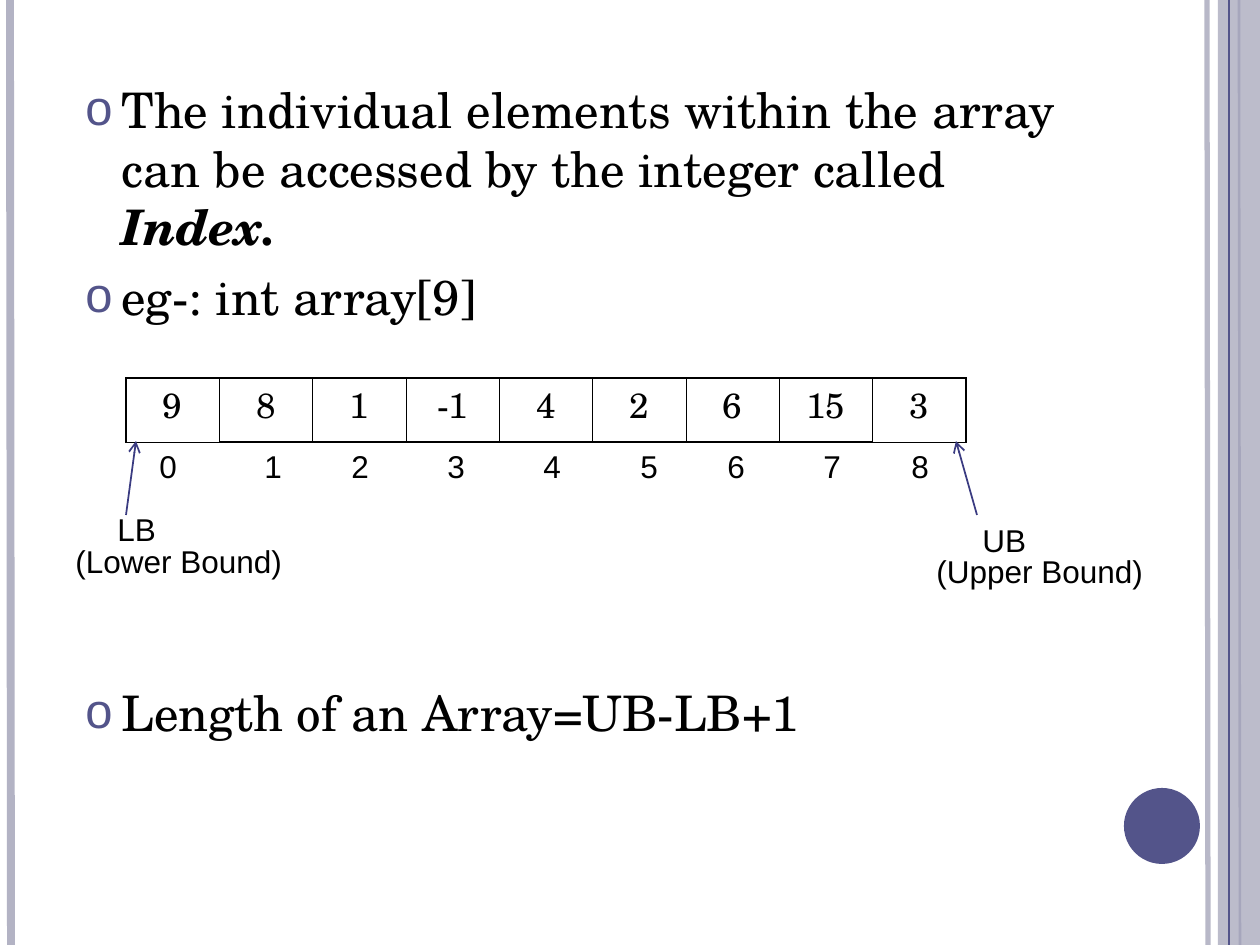
from dataclasses import dataclass

from lxml.etree import SubElement
from pptx import Presentation
from pptx.dml.color import RGBColor
from pptx.enum.shapes import MSO_CONNECTOR as CONN, MSO_SHAPE as SHAPE
from pptx.enum.text import PP_ALIGN as ALIGN
from pptx.oxml.ns import qn
from pptx.util import Pt

PX = 914400 / 126


@dataclass(frozen=True)
class Theme:
    ink: str = "000000"
    accent: str = "53548A"
    band: str = "B3B3C4"
    arrow: str = "3A3B81"
    serif: str = "TeX Gyre Schola"
    sans: str = "Arial"
    body: int = 28
    cell: int = 20
    label: int = 18
    thick: float = 1.08
    thin: float = 0.45


T = Theme()


def px(n):
    return round(n * PX)


def rgb(color):
    return RGBColor.from_string(color)


def add(parent, tag, **attrs):
    return SubElement(parent, qn(tag), {k: str(v) for k, v in attrs.items()})


def set_alpha(fill_parent, percent):
    color = next(fill_parent.iter(qn("a:srgbClr")))
    add(color, "a:alpha", val=percent * 1000)


def set_font(p, name, size):
    p.font.name = name
    p.font.size = Pt(size)
    p.font.color.rgb = rgb(T.ink)


def add_line(s, start, end, color, width, alpha=None, arrow=False):
    line = s.shapes.add_connector(CONN.STRAIGHT, *map(px, start + end))
    line.line.color.rgb = rgb(color)
    line.line.width = Pt(width)
    sp_pr = line._element.spPr
    ln = sp_pr.find(qn("a:ln"))
    if alpha:
        set_alpha(ln, alpha)
    if arrow:
        add(ln, "a:tailEnd", type="arrow")
    add(sp_pr, "a:effectLst")


def add_block(s, kind, box, color, alpha=None):
    sp = s.shapes.add_shape(kind, *map(px, box))
    sp.shadow.inherit = False
    sp.fill.solid()
    sp.fill.fore_color.rgb = rgb(color)
    sp.line.fill.background()
    if alpha:
        set_alpha(sp._element.spPr, alpha)


def add_frame(s):
    add_line(s, (1207, 0), (1208, 945), T.band, 3, alpha=93)
    add_line(s, (10, 0), (11, 945), T.band, 4.5)
    add_line(s, (1239, 0), (1240, 945), T.accent, 1.5)
    add_block(s, SHAPE.RECTANGLE, (1218, 0, 42, 945), T.band, alpha=87)
    add_line(s, (1229, 0), (1229, 945), T.accent, 0.75)
    add_block(s, SHAPE.OVAL, (1124, 788, 76, 76), T.accent)


def add_text(s, box):
    tf = s.shapes.add_textbox(*map(px, box)).text_frame
    tf.word_wrap = True
    return tf


def add_bullet(p):
    pPr = p._p.get_or_add_pPr()
    pPr.set("marL", str(px(36)))
    pPr.set("indent", str(px(-36)))
    add(add(pPr, "a:buClr"), "a:srgbClr", val=T.accent)
    add(pPr, "a:buFont", typeface=T.sans)
    add(pPr, "a:buChar", char="o")


def add_body(s, box, items):
    tf = add_text(s, box)
    for i, (text, emphasis, gap) in enumerate(items):
        p = tf.add_paragraph() if i else tf.paragraphs[0]
        add_bullet(p)
        p.space_before = Pt(gap)
        set_font(p, T.serif, T.body)
        p.add_run().text = text
        if emphasis:
            r = p.add_run()
            r.text = emphasis
            r.font.bold = r.font.italic = True


def set_borders(cell, **widths):
    tcPr = cell._tc.get_or_add_tcPr()
    for side, width in widths.items():
        ln = add(tcPr, f"a:ln{side}", w=Pt(width))
        add(add(ln, "a:solidFill"), "a:srgbClr", val=T.ink)


def add_array(s, box, values):
    last = len(values) - 1
    table = s.shapes.add_table(1, len(values), *map(px, box)).table
    table.first_row = table.horz_banding = False
    for i, value in enumerate(values):
        table.columns[i].width = px(box[2] / len(values))
        cell = table.cell(0, i)
        set_borders(cell, L=T.thin if i else T.thick,
                    R=T.thin if i < last else T.thick,
                    T=T.thick, B=T.thick if 0 < i < last else T.thin)
        cell.fill.background()
        p = cell.text_frame.paragraphs[0]
        p.text = value
        p.alignment = ALIGN.CENTER
        p.line_spacing = 0.82
        set_font(p, T.serif, T.cell)


def add_label(s, box, text, indent=0, tabs=()):
    p = add_text(s, box).paragraphs[0]
    p.text = text
    pPr = p._p.get_or_add_pPr()
    if indent:
        pPr.set("marL", str(px(indent)))
    if tabs:
        stops = add(pPr, "a:tabLst")
        for stop in tabs:
            add(stops, "a:tab", pos=px(stop), algn="l")
    set_font(p, T.sans, T.label)


def main():
    prs = Presentation()
    prs.slide_width, prs.slide_height = px(1260), px(945)
    s = prs.slides.add_slide(prs.slide_layouts[6])
    add_frame(s)
    add_body(s, (73, 73, 1029, 672), [
        ("The individual elements within the array can be accessed by "
         "the integer called ", "Index.", 0),
        ("eg-: int array[9]", "", 6),
        ("Length of an Array=UB-LB+1", "", 204),
    ])
    values = ["9", "8", "1", "-1", "4", "2", "6", "15", "3"]
    add_array(s, (126, 378, 840, 64), values)
    add_label(s, (147, 441, 809, 50), "\t".join(map(str, range(len(values)))),
              tabs=(105, 192, 288, 384, 481, 568, 664, 752))
    add_line(s, (126, 515), (136, 441), T.arrow, 1, arrow=True)
    add_line(s, (977, 515), (956, 441), T.arrow, 1, arrow=True)
    add_label(s, (63, 536, 252, 50), "(Lower Bound)")
    add_label(s, (105, 504, 105, 50), "LB")
    add_label(s, (935, 515, 126, 50), "UB", indent=35)
    add_label(s, (924, 546, 262, 50), "(Upper Bound)")
    prs.save("out.pptx")


if __name__ == "__main__":
    main()
